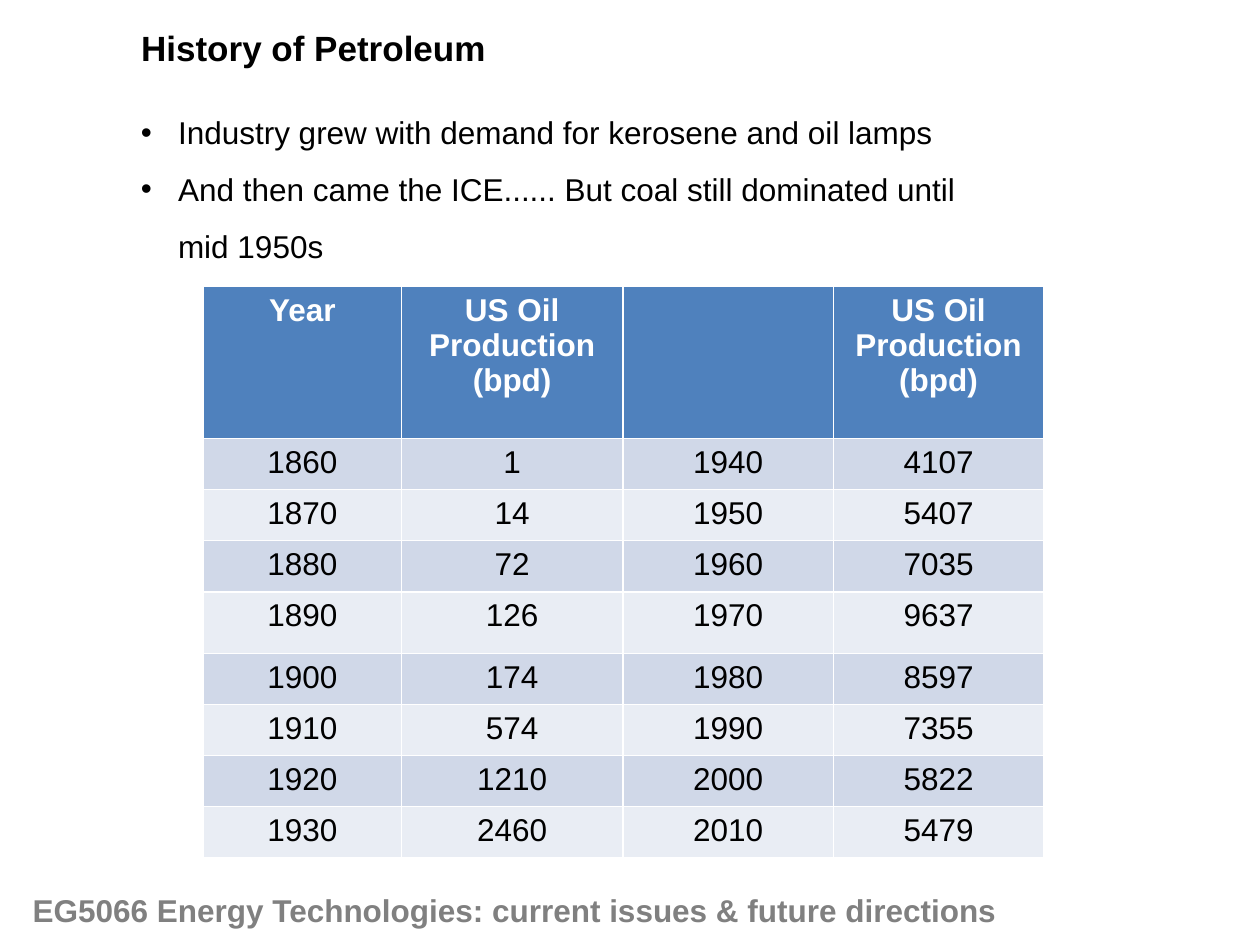
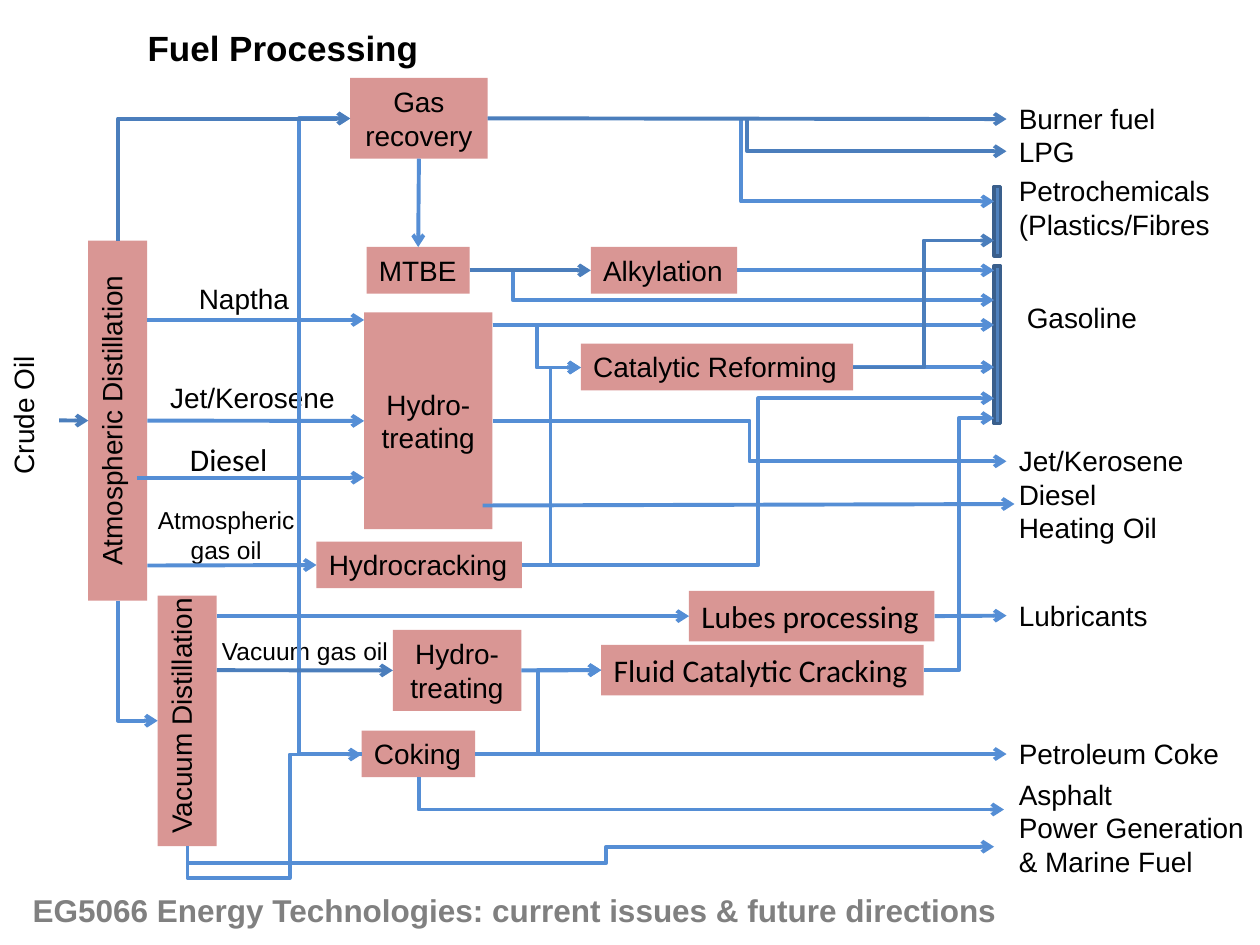
from lxml.etree import SubElement as Sub
from pptx import Presentation
from pptx.dml.color import RGBColor
from pptx.enum.shapes import MSO_CONNECTOR as Link, MSO_SHAPE as Form
from pptx.enum.text import MSO_ANCHOR as Anchor, MSO_AUTO_SIZE as Fit, PP_ALIGN as Align
from pptx.oxml.ns import qn
from pptx.util import Cm, Pt

rgb = RGBColor.from_string
BLACK, WHITE, GREY = "000000", "FFFFFF", "808080"
PINK, BLUE, DARK = "D99694", "558ED5", "4B7EBC"
HEAD, BANDS = "4F81BD", ("E9EDF4", "D0D8E8")
COURSE = "EG5066 Energy Technologies: current issues & future directions"


def write(frame, text, size=16, font="Arial", color=BLACK, bold=False,
          align=Align.LEFT, bullet=False):
    for i, line in enumerate(text.split("\n")):
        para = frame.paragraphs[0] if i == 0 else frame.add_paragraph()
        para.alignment = align
        if bullet:
            para.line_spacing = 1.5
            props = para._p.get_or_add_pPr()
            props.set("marL", str(Cm(0.75)))
            props.set("indent", str(Cm(-0.75)))
            Sub(props, qn("a:buFont")).set("typeface", "Arial")
            Sub(props, qn("a:buChar")).set("char", "•")
        run = para.add_run()
        run.text = line
        run.font.size, run.font.name, run.font.bold = Pt(size), font, bold
        run.font.color.rgb = rgb(color)


def wire(shapes, color, points, sites):
    """Draw an arrow: 2 points straight, 4 starting sideways, 3 or 5 starting up or down."""
    (x1, y1), (x2, y2) = points[0], points[-1]
    kind = Link.STRAIGHT if len(points) == 2 else Link.ELBOW
    link = shapes.add_connector(kind, Cm(x1), Cm(y1), Cm(x2), Cm(y2))
    link.line.color.rgb = rgb(color)
    link.line.width = Pt(2.25)
    props = link._element.spPr
    Sub(props.find(qn("a:ln")), qn("a:tailEnd")).set("type", "arrow")
    Sub(props, qn("a:effectLst"))

    if len(points) == 2:
        for shape, site, x, y in sites:
            if max(abs(x - x1), abs(y - y1)) < 0.06:
                link.begin_connect(shape, site)
            if max(abs(x - x2), abs(y - y2)) < 0.06:
                link.end_connect(shape, site)
        return

    geom = props.find(qn("a:prstGeom"))
    geom.set("prst", f"bentConnector{len(points) - 1}")
    across = (points[1][0] - x1) / (x2 - x1)
    bends = [across]
    if len(points) != 4:
        wide, high = abs(x2 - x1), abs(y2 - y1)
        link.left, link.top = Cm((x1 + x2 - high) / 2), Cm((y1 + y2 - wide) / 2)
        link.width, link.height = Cm(high), Cm(wide)
        turn = props.find(qn("a:xfrm"))
        for flip in ("flipH", "flipV"):
            turn.attrib.pop(flip, None)
        turn.set("rot", str((90 if y2 > y1 else 270) * 60000))
        if y2 > y1:
            turn.set("flipV", "1")
        bends = [(points[1][1] - y1) / (y2 - y1), (points[2][0] - x1) / (x2 - x1)]
    if len(points) > 3:
        guides = geom.find(qn("a:avLst"))
        for i, bend in enumerate(bends, 1):
            guide = Sub(guides, qn("a:gd"))
            guide.set("name", f"adj{i}")
            guide.set("fmla", f"val {round(bend * 100000)}")


deck = Presentation()
deck.slide_width, deck.slide_height = Cm(25.4), Cm(19.05)

# Title and course line on both slides
pages = []
for name, left, wide in (("History of Petroleum", 2.59, 7.54), ("Fuel Processing", 2.72, 6.1)):
    page = deck.slides.add_slide(deck.slide_layouts[5])
    title = page.shapes.title
    title.left, title.top, title.width, title.height = Cm(left), Cm(0.41), Cm(wide), Cm(1.12)
    title.text_frame.auto_size = Fit.NONE
    title.text_frame.vertical_anchor = Anchor.TOP
    write(title.text_frame, name, size=20, bold=True)
    foot = page.shapes.add_textbox(Cm(0.41), Cm(17.83), Cm(21.82), Cm(1.02))
    foot.text_frame.word_wrap = True
    write(foot.text_frame, COURSE, size=18, bold=True, color=GREY)
    pages.append(page)
past, plant = (page.shapes for page in pages)

# History: bullets and production table
notes = past.add_textbox(Cm(2.59), Cm(1.78), Cm(17.86), Cm(3.58))
notes.text_frame.word_wrap = True
write(notes.text_frame, "Industry grew with demand for kerosene and oil lamps\n"
      "And then came the ICE...... But coal still dominated until mid 1950s",
      size=18, bullet=True)

early = (1, 14, 72, 126, 174, 574, 1210, 2460)
late = (4107, 5407, 7035, 9637, 8597, 7355, 5822, 5479)
oil = "US Oil Production (bpd)"
rows = [("Year", oil, "", oil)]
rows += [(1860 + 10 * i, a, 1940 + 10 * i, b) for i, (a, b) in enumerate(zip(early, late))]
highs = (3.07, 1.03, 1.03, 1.03, 1.24, 1.03, 1.03, 1.03, 1.03)
wides = (3.99, 4.47, 4.24, 4.24)
grid = past.add_table(len(rows), len(wides), Cm(4.1), Cm(5.77),
                      Cm(sum(wides)), Cm(sum(highs))).table
for col, wide in zip(grid.columns, wides):
    col.width = Cm(wide)
for r, (row, high) in enumerate(zip(rows, highs)):
    grid.rows[r].height = Cm(high)
    for c, value in enumerate(row):
        cell = grid.cell(r, c)
        cell.fill.solid()
        cell.fill.fore_color.rgb = rgb(BANDS[r % 2] if r else HEAD)
        if value:
            write(cell.text_frame, str(value), size=18, bold=r == 0,
                  color=BLACK if r else WHITE, align=Align.CENTER)

# Fuel processing: units (filled) and streams (plain)
MID = {"align": Align.CENTER}
SMALL = {"align": Align.CENTER, "size": 14}
BIG = {"size": 18, "font": "Calibri"}
units = [
    ("Gas recovery", 7.06, 1.57, 2.77, 1.63, MID),
    ("MTBE", 7.39, 4.98, 2.08, 0.94, {}),
    ("Alkylation", 11.91, 4.98, 2.95, 0.94, {}),
    ("Hydro-treating", 7.34, 6.3, 2.59, 4.37, MID),
    ("Catalytic Reforming", 11.71, 6.93, 5.49, 0.94, {}),
    ("Hydrocracking", 6.38, 10.92, 4.14, 0.94, {}),
    ("Lubes processing", 13.89, 11.91, 4.95, 1.02, BIG),
    ("Hydro-treating", 7.92, 12.7, 2.59, 1.63, MID),
    ("Fluid Catalytic Cracking", 12.12, 13, 6.5, 1.02, BIG),
    ("Coking", 7.29, 14.73, 2.29, 0.94, {}),
    ("Atmospheric Distillation", 1.78, 4.85, 1.19, 7.26, MID),
    ("Vacuum Distillation", 3.18, 12.01, 1.19, 5.05, {}),
]
streams = [
    ("Crude Oil", 0, 7.14, 1.19, 2.67, {}),
    ("Naptha", 3.76, 5.56, 2.34, 0.94, {}),
    ("Jet/Kerosene", 3.18, 7.54, 3.86, 0.94, {}),
    ("Diesel", 3.58, 8.74, 2.08, 1.02, BIG),
    ("Atmospheric gas oil", 2.77, 10.06, 3.58, 1.45, SMALL),
    ("Vacuum gas oil", 4.17, 12.7, 3.96, 0.86, SMALL),
    ("Burner fuel", 20.29, 1.93, 3.3, 0.94, {}),
    ("LPG", 20.29, 2.59, 1.65, 0.94, {}),
    ("Petrochemicals\n(Plastics/Fibres", 20.29, 3.38, 4.39, 1.63, {}),
    ("Gasoline", 20.45, 5.94, 2.77, 0.94, {}),
    ("Jet/Kerosene", 20.29, 8.81, 3.86, 0.94, {}),
    ("Diesel\nHeating Oil", 20.29, 9.5, 3.33, 1.63, {}),
    ("Lubricants", 20.29, 11.94, 3.15, 0.94, {}),
    ("Petroleum Coke", 20.29, 14.73, 4.6, 0.94, {}),
    ("Asphalt\nPower Generation\n& Marine Fuel", 20.29, 15.54, 5.11, 2.31, {}),
]
sites = []
for i, (text, x, y, w, h, style) in enumerate(units + streams):
    place = Cm(x), Cm(y), Cm(w), Cm(h)
    if i < len(units):
        box = plant.add_shape(Form.RECTANGLE, *place)
        box.shadow.inherit = False
        box.fill.solid()
        box.fill.fore_color.rgb = rgb(PINK)
        box.line.fill.background()
    else:
        box = plant.add_textbox(*place)
    frame = box.text_frame
    frame.word_wrap = "align" in style
    tall = h > 2 * w and w < 1.2
    frame.auto_size = Fit.NONE if "align" in style else Fit.SHAPE_TO_FIT_TEXT
    frame.vertical_anchor = Anchor.MIDDLE if style is MID and not tall else Anchor.TOP
    if tall:
        frame._txBody.bodyPr.set("vert", "vert270")
    write(frame, text, **style)
    sites += [(box, 0, x + w / 2, y), (box, 1, x, y + h / 2),
              (box, 2, x + w / 2, y + h), (box, 3, x + w, y + h / 2)]

# Collector bars for petrochemicals and gasoline
for top, high in ((3.76, 1.4), (5.36, 3.18)):
    bar = plant.add_shape(Form.RECTANGLE, Cm(20.04), Cm(top), Cm(0.13), Cm(high))
    bar.shadow.inherit = False
    bar.fill.solid()
    bar.fill.fore_color.rgb = rgb(HEAD)
    bar.line.color.rgb = rgb("3A5F8C")
    bar.line.width = Pt(2)

flows = {
    BLUE: [
        [(2.97, 6.45), (7.34, 6.45)],
        [(2.97, 8.48), (7.34, 8.48)],
        [(2.77, 9.63), (7.34, 9.63)],
        [(2.97, 11.4), (6.38, 11.39)],
        [(2.38, 12.11), (2.38, 14.53), (3.18, 14.53)],
        [(4.37, 12.42), (13.89, 12.42)],
        [(18.84, 12.42), (20.29, 12.42)],
        [(3.78, 17.06), (3.78, 17.7), (5.84, 17.7), (5.84, 15.21), (7.29, 15.21)],
        [(3.78, 17.06), (3.78, 17.4), (12.22, 17.4), (12.22, 17.07), (20.04, 17.07)],
        [(7.29, 15.21), (6.03, 15.21), (6.03, 2.39), (7.06, 2.39)],
        [(9.58, 15.2), (20.29, 15.2)],
        [(9.58, 15.2), (10.85, 15.2), (10.85, 13.51), (12.12, 13.51)],
        [(8.44, 15.67), (8.44, 16.32), (20.24, 16.32)],
        [(10.51, 13.51), (12.12, 13.51)],
        [(18.62, 13.51), (19.33, 13.51), (19.33, 8.43), (20.04, 8.43)],
        [(8.44, 3.2), (8.44, 4.98)],
        [(9.83, 2.39), (14.94, 2.39), (14.94, 4.06), (20.04, 4.06)],
        [(9.47, 5.45), (10.34, 5.45), (10.34, 6.05), (20.04, 6.05)],
        [(14.86, 5.45), (20.04, 5.45)],
        [(9.93, 6.55), (20.04, 6.55)],
        [(9.93, 6.55), (10.82, 6.55), (10.82, 7.41), (11.71, 7.41)],
        [(17.2, 7.4), (20.04, 7.4)],
        [(9.93, 8.48), (15.11, 8.48), (15.11, 9.3), (20.29, 9.3)],
        [(9.73, 10.19), (20.45, 10.16)],
        [(10.52, 11.39), (11.1, 11.39), (11.1, 7.41), (11.71, 7.41)],
        [(10.52, 11.39), (15.29, 11.39), (15.29, 8.03), (20.04, 8.03)],
    ],
    DARK: [
        [(1.19, 8.48), (1.78, 8.48)],
        [(2.38, 4.85), (2.38, 2.39), (7.06, 2.39)],
        [(9.47, 5.45), (11.91, 5.45)],
        [(9.83, 2.39), (20.29, 2.39)],
        [(9.83, 2.39), (15.06, 2.39), (15.06, 3.05), (20.29, 3.05)],
        [(17.2, 7.41), (18.62, 7.41), (18.62, 4.85), (20.04, 4.85)],
        [(4.37, 13.51), (7.92, 13.51)],
    ],
}
for color, paths in flows.items():
    for points in paths:
        wire(plant, color, points, sites)

deck.save("out.pptx")
